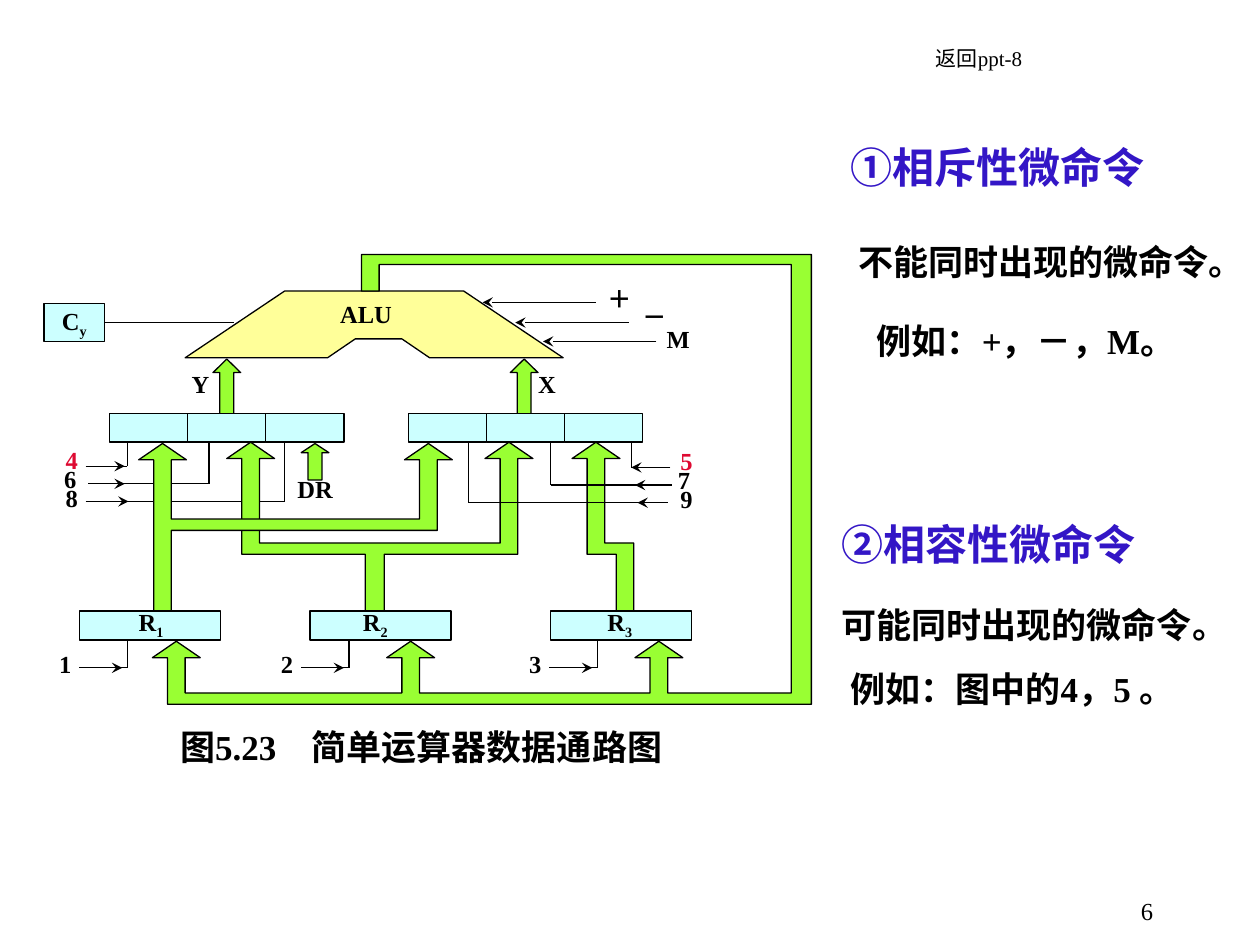
from dataclasses import dataclass
from typing import Any

from lxml import etree
from pptx import Presentation
from pptx import util as u
from pptx.dml.color import RGBColor
from pptx.enum import shapes, text
from pptx.oxml.ns import qn

BLACK, RED, BLUE = "000000", "DE0A32", "3316C6"
CYAN, GREEN, YELLOW = "CCFFFF", "99FF33", "FFFF99"
FONT = "Times New Roman"


def color(code):
    return RGBColor.from_string(code)


def write(shape, runs, size=14, hue=BLACK, bold=True, align=text.PP_ALIGN.LEFT,
          pad=(0, 0), wrap=True):
    frame = shape.text_frame
    frame.word_wrap = wrap
    frame.auto_size = text.MSO_AUTO_SIZE.NONE
    frame.margin_left = frame.margin_right = u.Inches(pad[0])
    frame.margin_top = frame.margin_bottom = u.Inches(pad[1])
    para = frame.paragraphs[0]
    para.alignment = align
    for words, base in runs:
        run = para.add_run()
        run.text = words
        font = run.font
        font.name, font.size, font.bold = FONT, u.Pt(size), bold
        font.color.rgb = color(hue)
        if base:
            font._element.set("baseline", str(base))


def paint(shape, fill):
    shape.shadow.inherit = False
    shape.fill.solid()
    shape.fill.fore_color.rgb = color(fill)
    shape.line.color.rgb = color(BLACK)
    shape.line.width = u.Pt(0.75)
    return shape


@dataclass
class Pen:
    sheet: Any
    left: float
    top: float

    def spot(self, x, y):
        return u.Inches(self.left + x), u.Inches(self.top + y)

    def block(self, kind, x, y, w, h, fill):
        shape = self.sheet.add_shape(kind, *self.spot(x, y), u.Inches(w), u.Inches(h))
        return paint(shape, fill)

    def label(self, words, x, y, w=0.25, h=0.28, sub="", **style):
        box = self.sheet.add_textbox(*self.spot(x, y), u.Inches(w), u.Inches(h))
        runs = [(words, 0)] + ([(sub, -25000)] if sub else [])
        write(box, runs, **style)

    def wire(self, x, y, to_x, to_y, arrow=False):
        line = self.sheet.add_connector(
            shapes.MSO_CONNECTOR.STRAIGHT, *self.spot(x, y), *self.spot(to_x, to_y))
        line.line.color.rgb = color(BLACK)
        line.line.width = u.Pt(0.75)
        if arrow:
            etree.SubElement(line.line._get_or_add_ln(), qn("a:tailEnd"), type="stealth")
        etree.SubElement(line._element.spPr, qn("a:effectLst"))
        return line

    def outline(self, points, fill):
        spots = [self.spot(*point) for point in points]
        shape = self.sheet.build_freeform(*spots[0])
        shape.add_line_segments(spots[1:], close=True)
        return paint(shape.convert_to_shape(), fill)

    def hook(self, start, stop, head, y, top):
        side = 1 if stop > start else -1
        self.wire(start, y, stop, y)
        self.wire(stop, y, stop, top)
        self.wire(head - side * 0.2, y, head, y, arrow=True)


def tip(x, y):
    return [(x - 0.07, y + 0.13), (x - 0.19, y + 0.13), (x, y),
            (x + 0.19, y + 0.13), (x + 0.07, y + 0.13)]


def draw_alu(sheet, left, top):
    pen = Pen(sheet, left, top)
    pen.outline([(1.91, 0.06), (3.33, 0.06), (4.12, 0.59), (3.06, 0.59), (2.84, 0.44),
                 (2.47, 0.44), (2.25, 0.59), (1.12, 0.59)], YELLOW)
    pen.label("ALU", 2.35, 0.12, 0.6)
    for name, x, at in (("Y", 1.34, 1.17), ("X", 3.7, 3.92)):
        arrow = pen.block(shapes.MSO_SHAPE.UP_ARROW, x, 0.6, 0.22, 0.44, GREEN)
        arrow.adjustments[1] = 0.49
        pen.label(name, at, 0.68)
    for x, y in ((3.48, 0.15), (3.74, 0.31), (3.96, 0.46)):
        pen.wire(x + 0.9, y, x, y, arrow=True)
    for name, x, y in (("＋", 4.47, 0), ("－", 4.75, 0.15), ("M", 4.94, 0.32)):
        pen.label(name, x, y)
    carry = pen.block(shapes.MSO_SHAPE.RECTANGLE, 0, 0.16, 0.48, 0.3, CYAN)
    write(carry, [("C", 0), ("y", -25000)], align=text.PP_ALIGN.CENTER)
    pen.wire(0.48, 0.31, 1.51, 0.31).begin_connect(carry, 3)


def draw_inputs(sheet, left, top):
    pen = Pen(sheet, left, top)
    for start in (0, 2.37):
        for i in range(3):
            pen.block(shapes.MSO_SHAPE.RECTANGLE, start + 0.62 * i, 0, 0.62, 0.23, CYAN)
    arrow = pen.block(shapes.MSO_SHAPE.UP_ARROW, 1.52, 0.24, 0.22, 0.29, GREEN)
    arrow.adjustments[1] = 0.33
    pen.label("DR", 1.49, 0.48, 0.42)


def draw_gates(sheet, left, top, rows):
    pen = Pen(sheet, left, top)
    for i, (name, x, start, stop, head) in enumerate(rows):
        pen.hook(start, stop, head, 0.19 + 0.14 * i, 0)
        pen.label(name, x, 0.02 + 0.15 * i, hue=BLACK if i else RED)


def draw_buses(sheet, left, top):
    pen = Pen(sheet, left, top)
    pen.outline(tip(3.63, 1.49) + [(3.7, 2.29), (3.93, 2.29), (3.93, 2.83), (3.79, 2.83),
                                   (3.79, 2.38), (3.56, 2.38)], GREEN)
    pen.outline(tip(0.89, 1.49) + [(0.96, 2.29), (2.87, 2.29)] + tip(2.94, 1.49)
                + [(3.01, 2.38), (1.95, 2.38), (1.95, 2.83), (1.8, 2.83),
                   (1.8, 2.38), (0.82, 2.38)], GREEN)
    pen.outline(tip(0.19, 1.5) + [(0.26, 2.1), (2.23, 2.1)] + tip(2.3, 1.5)
                + [(2.37, 2.19), (0.26, 2.19), (0.26, 2.83), (0.12, 2.83)], GREEN)
    loop = [(0.23, 3.57)]
    for x in (0.3, 2.16, 4.13):
        loop += [(x - 0.07, 3.48)] if x > 1 else []
        loop += tip(x, 3.07) + [(x + 0.07, 3.48)]
    loop += [(5.18, 3.48), (5.18, 0.08), (1.91, 0.08), (1.91, 0.29), (1.77, 0.29),
             (1.77, 0), (5.34, 0), (5.34, 3.57)]
    pen.outline(loop, GREEN)


def draw_files(sheet, left, top):
    pen = Pen(sheet, left, top)
    for i, (x, start, at) in enumerate(((0, 0, 0.47), (1.83, 1.76, 2.25), (3.74, 3.73, 4.19))):
        pen.block(shapes.MSO_SHAPE.RECTANGLE, x, 0, 1.12, 0.23, CYAN)
        pen.label("R", at, -0.03, 0.34, sub=str(i + 1))
        pen.hook(start, start + 0.38, start + 0.34, 0.45, 0.23)
        pen.label(str(i + 1), start - 0.16, 0.3)


def draw_notes(slide, left, top):
    pen = Pen(slide.shapes, left, top)
    title = slide.shapes.title
    title.left, title.top = pen.spot(0.07, 0)
    title.width, title.height = u.Inches(3.14), u.Inches(0.5)
    title.text_frame.vertical_anchor = text.MSO_ANCHOR.TOP
    pad = (0.1, 0.05)
    write(title, [("①相斥性微命令", 0)], size=24, hue=BLUE, pad=pad)
    for words, x, y, size, hue in (
            (" 不能同时出现的微命令。", 0.07, 0.79, 20, BLACK),
            ("例如：+，－，M。", 0.28, 1.42, 20, BLACK),
            ("②相容性微命令", 0, 3, 24, BLUE),
            ("可能同时出现的微命令。", 0, 3.67, 20, BLACK),
            ("例如：图中的4，5 。", 0.07, 4.18, 20, BLACK)):
        pen.label(words, x, y, 3.54 if x == 0.07 else 3.42, 0.44, size=size, hue=hue, pad=pad)
    pen.label("返回ppt-8", 0.75, -0.76, 0.92, 0.3, size=12, bold=False, pad=pad, wrap=False)
    pen.label("6", 0.59, 5.99, 2.08, 0.28, bold=False, pad=pad, align=text.PP_ALIGN.RIGHT)


def main():
    deck = Presentation()
    deck.slide_width, deck.slide_height = u.Inches(10), u.Inches(7.5)
    slide = deck.slides.add_slide(deck.slide_layouts[5])
    sheet = slide.shapes.add_group_shape().shapes
    draw_alu(sheet, 0.35, 2.25)
    draw_inputs(sheet, 0.87, 3.28)
    draw_gates(sheet, 0.5, 3.51, (
        ("4", 0.02, 0.18, 0.51, 0.49),
        ("6", 0.01, 0.2, 1.16, 0.49),
        ("8", 0.02, 0.18, 1.76, 0.52)))
    draw_buses(sheet, 1.1, 2.02)
    draw_gates(sheet, 3.72, 3.52, (
        ("5", 1.68, 1.6, 1.29, 1.29),
        ("7", 1.66, 1.61, 0.65, 1.32),
        ("9", 1.68, 1.58, 0, 1.34)))
    draw_files(sheet, 0.63, 4.85)
    Pen(sheet, 1.43, 5.76).label("图5.23　简单运算器数据通路图", 0, 0, 4.13, 0.34, size=20)
    draw_notes(slide, 6.58, 1.07)
    deck.save("out.pptx")


if __name__ == "__main__":
    main()
